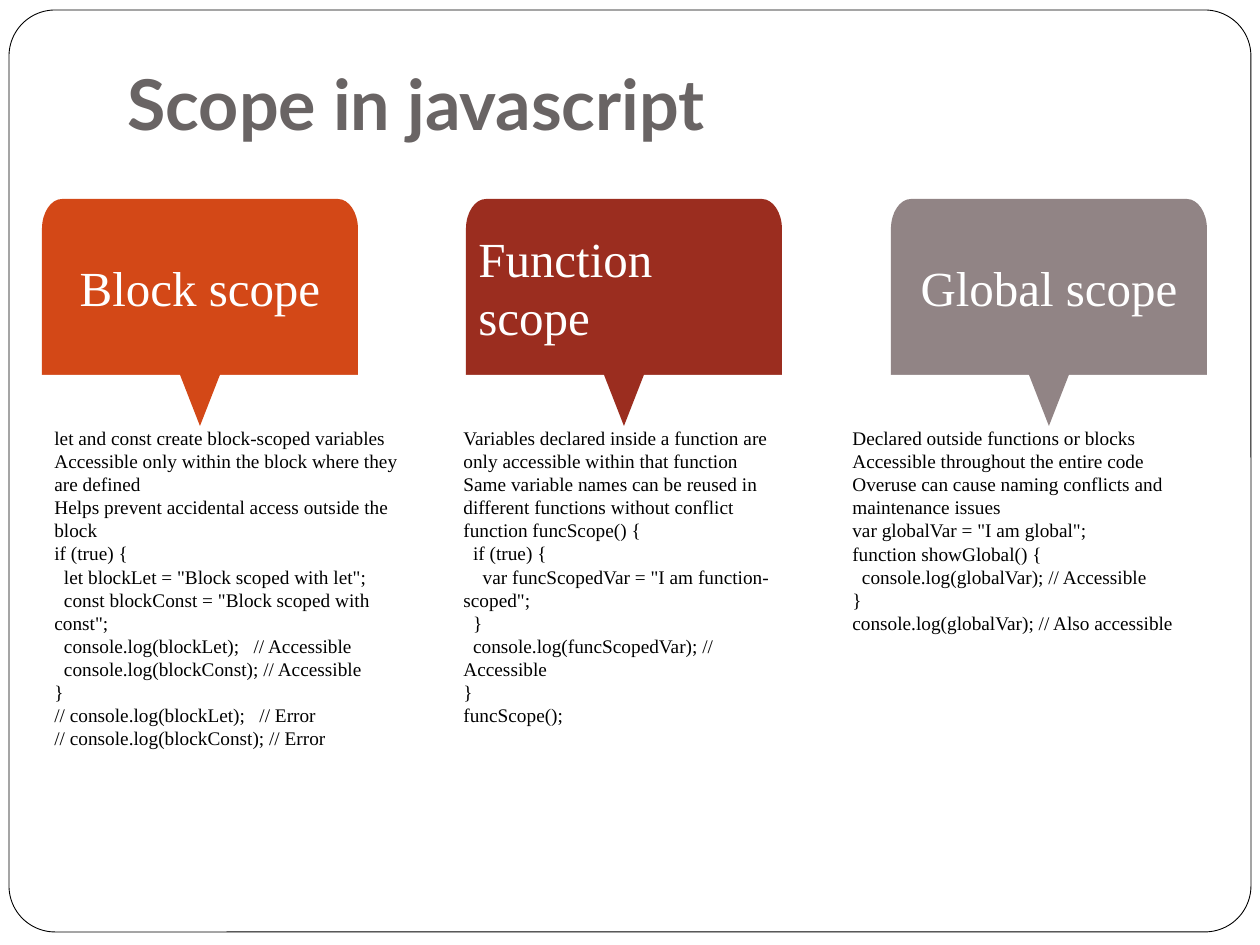
from lxml import etree
from pptx import Presentation
from pptx.dml.color import RGBColor
from pptx.enum.shapes import MSO_SHAPE
from pptx.enum.text import MSO_ANCHOR, MSO_AUTO_SIZE, PP_ALIGN
from pptx.oxml.ns import qn
from pptx.util import Emu, Pt

EMU_PER_PX = 914400 / 126

ROUNDED, TRIANGLE = MSO_SHAPE.ROUNDED_RECTANGLE, MSO_SHAPE.ISOSCELES_TRIANGLE
LEFT, CENTER = PP_ALIGN.LEFT, PP_ALIGN.CENTER
MIDDLE, BOTTOM = MSO_ANCHOR.MIDDLE, MSO_ANCHOR.BOTTOM
NO_AUTOFIT, GROW = MSO_AUTO_SIZE.NONE, MSO_AUTO_SIZE.SHAPE_TO_FIT_TEXT

WHITE = RGBColor(0xFF, 0xFF, 0xFF)
BLACK = RGBColor(0x00, 0x00, 0x00)
TITLE_GRAY = RGBColor(0x69, 0x64, 0x64)
ORANGE = RGBColor(0xD3, 0x48, 0x17)
RED = RGBColor(0x9B, 0x2D, 0x1F)
GRAY = RGBColor(0x91, 0x84, 0x85)

TITLE_FONT, TEXT_FONT = "Lato", "Times New Roman"

# Card geometry in px
CARD_LEFT, CARD_WIDTH = 42, 316
HEADER_TOP, HEADER_HEIGHT, BODY_HEIGHT = 199, 176, 544
CORNER_X, CORNER_Y = 20, 30
CURVE_PULL = 0.45  # distance of a control point from the square corner
POINTER_TOP, POINTER_WIDTH, POINTER_HEIGHT = 344, 64, 82
NOTES_TOP = 420

# Heading, colour, heading alignment, notes (left, width, height), lines
SCOPES = [
    ("Block scope", ORANGE, CENTER, (42, 378, 339), [
        "let and const create block-scoped variables",
        "Accessible only within the block where they are defined",
        "Helps prevent accidental access outside the block",
        "if (true) {",
        '  let blockLet = "Block scoped with let";',
        '  const blockConst = "Block scoped with const";',
        "  console.log(blockLet);   // Accessible",
        "  console.log(blockConst); // Accessible",
        "}",
        "// console.log(blockLet);   // Error",
        "// console.log(blockConst); // Error",
    ]),
    ("Function scope", RED, LEFT, (451, 357, 316), [
        "Variables declared inside a function are only accessible within that function",
        "Same variable names can be reused in different functions without conflict",
        "function funcScope() {",
        "  if (true) {",
        '    var funcScopedVar = "I am function-scoped";',
        "  }",
        "  console.log(funcScopedVar); // Accessible",
        "}",
        "funcScope();",
    ]),
    ("Global scope", GRAY, CENTER, (840, 378, 246), [
        "Declared outside functions or blocks",
        "Accessible throughout the entire code",
        "Overuse can cause naming conflicts and maintenance issues",
        'var globalVar = "I am global";',
        "function showGlobal() {",
        "  console.log(globalVar); // Accessible",
        "}",
        "console.log(globalVar); // Also accessible",
    ]),
]


def px(length):
    return Emu(round(length * EMU_PER_PX))


def write_lines(frame, lines, font_name, size, color, align=LEFT, bold=False):
    frame.word_wrap = True
    for i, line in enumerate(lines):
        paragraph = frame.paragraphs[0] if i == 0 else frame.add_paragraph()
        paragraph.text = line
        paragraph.alignment = align
        font = paragraph.font
        font.name, font.size, font.bold = font_name, Pt(size), bold
        font.color.rgb = color


def paint(shape, color):
    shape.shadow.inherit = False
    shape.fill.solid()
    shape.fill.fore_color.rgb = color
    shape.line.fill.background()


def add_frame(slide):
    frame = slide.shapes.add_shape(ROUNDED, px(9), px(10), px(1242), px(922))
    paint(frame, WHITE)
    frame.adjustments[0] = 0.05
    frame.line.color.rgb = BLACK
    frame.line.width = Pt(0.5)
    # Send the frame behind the title
    slide.shapes._spTree.insert(2, frame._element)


def add_title(slide, text):
    title = slide.shapes.title
    title.left, title.top, title.width, title.height = px(115), px(0), px(1071), px(157)
    frame = title.text_frame
    frame.auto_size = NO_AUTOFIT
    frame.vertical_anchor = BOTTOM
    frame.margin_bottom = Pt(7.2)
    write_lines(frame, [text], TITLE_FONT, 40, TITLE_GRAY, bold=True)


def bend(segments):
    """Turn three straight segments into one Bezier curve through their points."""
    curve = etree.Element(qn("a:cubicBezTo"))
    segments[0].addprevious(curve)
    for segment in segments:
        curve.append(segment[0])
        segment.getparent().remove(segment)


def add_tab(slide, left, flat_y, round_y, color):
    """Add a panel whose two corners on the round_y side are elliptical."""
    right = left + CARD_WIDTH
    inward = CORNER_Y if flat_y > round_y else -CORNER_Y
    corner = [(0, round_y + inward), (0, round_y + inward * CURVE_PULL),
              (CORNER_X * CURVE_PULL, round_y), (CORNER_X, round_y)]
    outline = [(left + dx, y) for dx, y in corner]
    outline += [(right - dx, y) for dx, y in reversed(corner)]
    outline.append((right, flat_y))
    builder = slide.shapes.build_freeform(px(left), px(flat_y))
    builder.add_line_segments([(px(x), px(y)) for x, y in outline], close=True)
    tab = builder.convert_to_shape()
    segments = list(tab._element.iter(qn("a:lnTo")))
    bend(segments[1:4])
    bend(segments[5:8])
    paint(tab, color)
    return tab


def add_pointer(slide, left, color):
    pointer = slide.shapes.add_shape(
        TRIANGLE, px(left + (CARD_WIDTH - POINTER_WIDTH) / 2), px(POINTER_TOP),
        px(POINTER_WIDTH), px(POINTER_HEIGHT))
    paint(pointer, color)
    pointer._element.spPr.get_or_add_xfrm().set("flipV", "1")


def add_notes_text(slide, left, width, height, lines):
    box = slide.shapes.add_textbox(px(left), px(NOTES_TOP), px(width), px(height))
    write_lines(box.text_frame, lines, TEXT_FONT, 11, BLACK)
    box.text_frame.auto_size = GROW


def add_card(slide, left, heading, color, align, notes_place, lines):
    header_bottom = HEADER_TOP + HEADER_HEIGHT
    header = add_tab(slide, left, header_bottom, HEADER_TOP, color)
    header.text_frame.vertical_anchor = MIDDLE
    write_lines(header.text_frame, [heading], TEXT_FONT, 28, WHITE, align)
    add_tab(slide, left, header_bottom, header_bottom + BODY_HEIGHT, WHITE)
    add_pointer(slide, left, color)
    add_notes_text(slide, *notes_place, lines)


def main():
    deck = Presentation()
    deck.slide_width, deck.slide_height = px(1260), px(945)
    slide = deck.slides.add_slide(deck.slide_layouts[5])
    add_frame(slide)
    add_title(slide, "Scope in javascript")
    for i, scope in enumerate(SCOPES):
        add_card(slide, CARD_LEFT + i * 849 // 2, *scope)
    deck.save("out.pptx")


if __name__ == "__main__":
    main()
